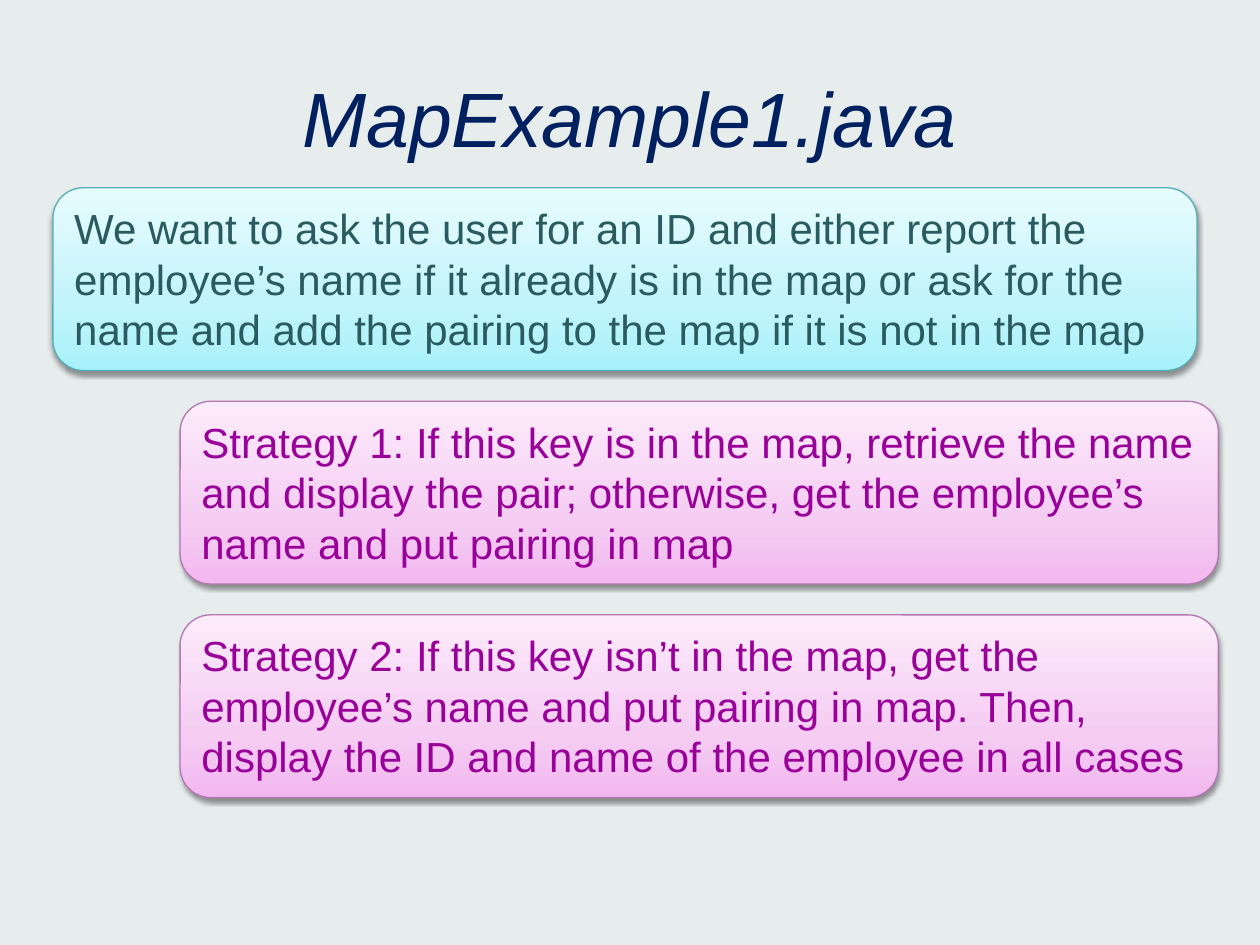
from copy import deepcopy

from lxml.etree import SubElement
from pptx import Presentation
from pptx.dml.color import RGBColor
from pptx.enum.shapes import MSO_SHAPE
from pptx.enum.text import MSO_ANCHOR, MSO_AUTO_SIZE, PP_ALIGN
from pptx.oxml.ns import qn
from pptx.util import Inches, Pt

HUES = {
    "back": "E7ECED",
    "title": "002060",
    "shade": "000000",
    "aqua": {"text": "295B60", "line": "55AEB7",
             "stops": ["A8F1FB", "C2F4FB", "E7FCFF"]},
    "pink": {"text": "990099", "line": "B477B1",
             "stops": ["F2B8EF", "F5CDF3", "FCEBFB"]},
}
STOPS = [0, 0.35, 1]
TOP, STEP, HIGH = 1.49, 1.695, 1.45
CARDS = [
    ("aqua", 0.42, 9.08,
     "We want to ask the user for an ID and either report the employee’s name "
     "if it already is in the map or ask for the name and add the pairing "
     "to the map if it is not in the map"),
    ("pink", 1.43, 8.24,
     "Strategy 1: If this key is in the map, retrieve the name and display "
     "the pair; otherwise, get the employee’s name and put pairing in map"),
    ("pink", 1.43, 8.24,
     "Strategy 2: If this key isn’t in the map, get the employee’s name and "
     "put pairing in map. Then, display the ID and name of the employee "
     "in all cases"),
]


def write(shape, text, hue, align, **form):
    frame = shape.text_frame
    frame.word_wrap = True
    para = frame.paragraphs[0]
    para.alignment = align
    run = para.add_run()
    run.text = text
    run.font.color.rgb = RGBColor.from_string(hue)
    for name, value in {"name": "Arial", **form}.items():
        setattr(run.font, name, value)
    return frame


def paint(shape, hues):
    """Give a card its three-stop gradient, outline and soft shadow."""
    fill = shape.fill
    fill.gradient()
    fill.gradient_angle = 90
    props = shape._element.spPr
    stops = props.find(qn("a:gradFill")).find(qn("a:gsLst"))
    stops.append(deepcopy(stops[-1]))
    for stop, spot, hue in zip(fill.gradient_stops, STOPS, hues["stops"]):
        stop.position = spot
        stop.color.rgb = RGBColor.from_string(hue)
    shape.line.color.rgb = RGBColor.from_string(hues["line"])
    shape.line.width = Pt(0.75)
    shape.shadow.inherit = False
    shade = SubElement(props.find(qn("a:effectLst")), qn("a:outerShdw"),
                       blurRad=str(Pt(3.1)), dist=str(Pt(1.6)),
                       dir="5400000", rotWithShape="0")
    tint = SubElement(shade, qn("a:srgbClr"), val=HUES["shade"])
    SubElement(tint, qn("a:alpha"), val="38000")


deck = Presentation()
deck.slide_width, deck.slide_height = Inches(10), Inches(7.5)
slide = deck.slides.add_slide(deck.slide_layouts[6])
back = slide.background.fill
back.solid()
back.fore_color.rgb = RGBColor.from_string(HUES["back"])

title = slide.shapes.add_textbox(Inches(0.5), Inches(0.3), Inches(9), Inches(1.25))
frame = write(title, "MapExample1.java", HUES["title"], PP_ALIGN.CENTER,
              size=Pt(44), italic=True)
frame.vertical_anchor = MSO_ANCHOR.MIDDLE

for row, (kind, left, wide, text) in enumerate(CARDS):
    card = slide.shapes.add_shape(
        MSO_SHAPE.ROUNDED_RECTANGLE, Inches(left), Inches(TOP + row * STEP),
        Inches(wide), Inches(HIGH))
    paint(card, HUES[kind])
    frame = write(card, text, HUES[kind]["text"], PP_ALIGN.LEFT, size=Pt(24))
    frame.vertical_anchor = MSO_ANCHOR.TOP
    frame.auto_size = MSO_AUTO_SIZE.SHAPE_TO_FIT_TEXT

deck.save("out.pptx")
